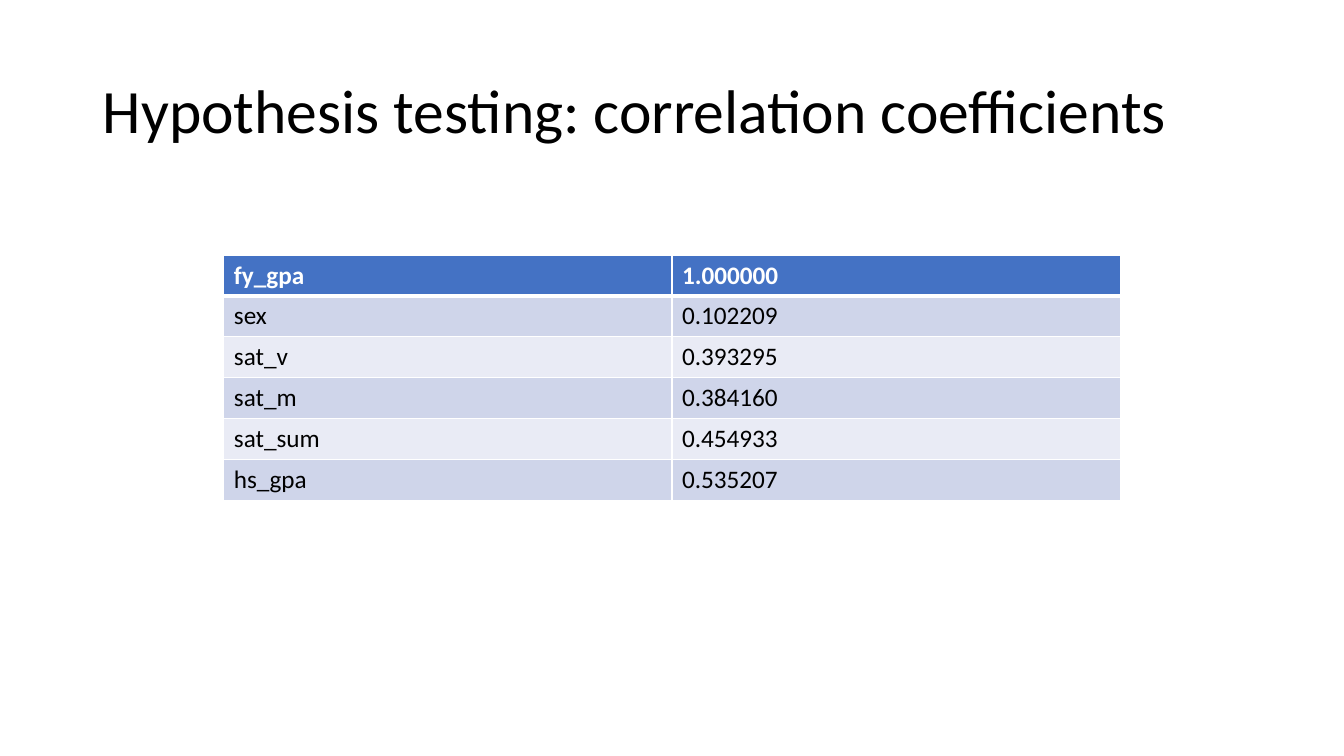
import lxml.etree
import pptx
import pptx.dml.color
import pptx.enum.text
import pptx.oxml.ns
import pptx.util

Inches = pptx.util.Inches
RGBColor = pptx.dml.color.RGBColor

BLACK = RGBColor(0x00, 0x00, 0x00)
WHITE = RGBColor(0xFF, 0xFF, 0xFF)
HEADER_BLUE = RGBColor(0x44, 0x72, 0xC4)
BAND_DARK = RGBColor(0xCF, 0xD5, 0xEA)
BAND_LIGHT = RGBColor(0xE9, 0xEB, 0xF5)
FONT = "Calibri"

TITLE_BOX = (Inches(0.92), Inches(0.4), Inches(11.5), Inches(1.45))
TABLE_BOX = (Inches(2.22), Inches(2.53), Inches(8.89), Inches(2.43))

CORRELATIONS = [
    ("fy_gpa", "1.000000"),
    ("sex", "0.102209"),
    ("sat_v", "0.393295"),
    ("sat_m", "0.384160"),
    ("sat_sum", "0.454933"),
    ("hs_gpa", "0.535207"),
]


def add_run(para, text, size, color, bold=False):
    run = para.add_run()
    run.text = text
    run.font.name = FONT
    run.font.size = pptx.util.Pt(size)
    run.font.bold = bold
    run.font.color.rgb = color


def set_borders(cell, widths, color):
    """Draw the cell's borders; widths maps L, R, T, B, in that order, to points."""
    qn = pptx.oxml.ns.qn
    properties = cell._tc.get_or_add_tcPr()
    for index, (side, width) in enumerate(widths.items()):
        line = lxml.etree.Element(qn(f"a:ln{side}"), w=str(pptx.util.Pt(width)))
        fill = lxml.etree.SubElement(line, qn("a:solidFill"))
        lxml.etree.SubElement(fill, qn("a:srgbClr"), val=str(color))
        properties.insert(index, line)


def fill_title(slide, box, text):
    title = slide.shapes.title
    title.left, title.top, title.width, title.height = box
    frame = title.text_frame
    frame.word_wrap = True
    frame.vertical_anchor = pptx.enum.text.MSO_ANCHOR.MIDDLE
    para = frame.paragraphs[0]
    para.alignment = pptx.enum.text.PP_ALIGN.LEFT
    para.line_spacing = 0.9
    add_run(para, text, 44, BLACK)


def add_correlation_table(slide, box, rows):
    left, top, width, height = box
    columns = len(rows[0])
    table = slide.shapes.add_table(len(rows), columns, left, top, width, height).table
    for column in table.columns:
        column.width = width // columns
    for row_index, values in enumerate(rows):
        table.rows[row_index].height = height // len(rows)
        header = row_index == 0
        band = BAND_DARK if row_index % 2 else BAND_LIGHT
        # The rule between the header and the first row is heavier
        widths = {"L": 1, "R": 1, "T": 3 if row_index == 1 else 1, "B": 3 if header else 1}
        for column_index, value in enumerate(values):
            cell = table.cell(row_index, column_index)
            cell.fill.solid()
            cell.fill.fore_color.rgb = HEADER_BLUE if header else band
            set_borders(cell, widths, WHITE)
            add_run(cell.text_frame.paragraphs[0], value, 18,
                    WHITE if header else BLACK, bold=header)


def main():
    deck = pptx.Presentation()
    deck.slide_width = Inches(13.33)
    deck.slide_height = Inches(7.5)
    slide = deck.slides.add_slide(deck.slide_layouts[5])  # title only

    # Title
    fill_title(slide, TITLE_BOX, "Hypothesis testing: correlation coefficients")
    # Table of coefficients
    add_correlation_table(slide, TABLE_BOX, CORRELATIONS)

    deck.save("out.pptx")


if __name__ == "__main__":
    main()
